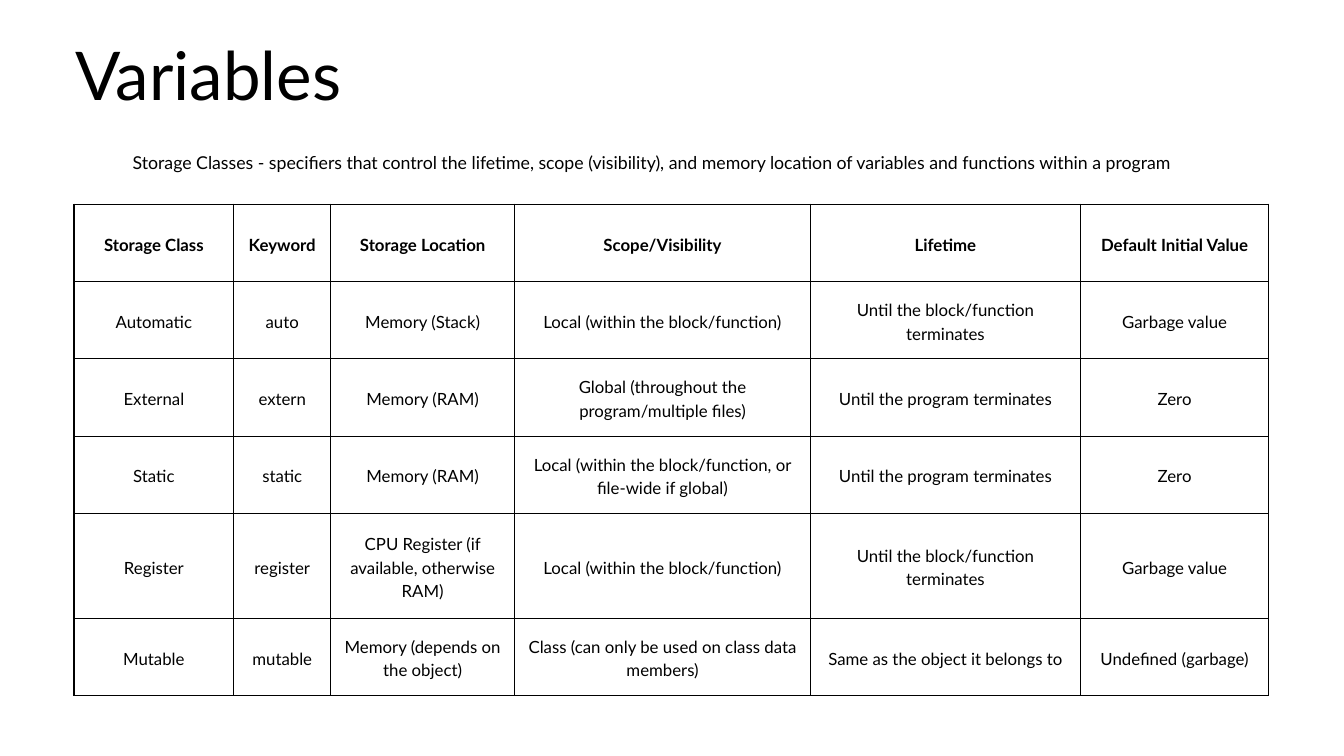
from lxml.etree import SubElement
from pptx import Presentation
from pptx.dml.color import RGBColor
from pptx.enum.text import MSO_ANCHOR, MSO_AUTO_SIZE, PP_ALIGN
from pptx.oxml.ns import qn
from pptx.util import Inches, Pt

COLORS = {"ink": "000000", "paper": "FFFFFF"}
FONT = "Lato"

deck = Presentation()
deck.slide_width = Inches(20)
deck.slide_height = Inches(11.25)
column = deck.slide_width / 200
row = deck.slide_height / 225

page = deck.slides.add_slide(deck.slide_layouts[5])
page.background.fill.solid()
page.background.fill.fore_color.rgb = RGBColor.from_string(COLORS["paper"])


def place(box, left, top, width, height):
    box.left, box.width = int(left * column), int(width * column)
    box.top, box.height = int(top * row), int(height * row)


def write(frame, text, size, line_spacing, alignment, bold=False):
    frame.word_wrap = True
    frame.text = text
    para = frame.paragraphs[0]
    para.alignment = alignment
    para.line_spacing = Pt(line_spacing)
    para.font.name = FONT
    para.font.size = Pt(size)
    para.font.bold = bold
    para.font.color.rgb = RGBColor.from_string(COLORS["ink"])


column_widths = [23.8, 14.4, 27.4, 44, 40.2, 28]
row_heights = [23, 23, 23, 23, 31.2, 23]
storage_classes = [
    ["Storage Class", "Keyword", "Storage Location", "Scope/Visibility",
     "Lifetime", "Default Initial Value"],
    ["Automatic", "auto", "Memory (Stack)", "Local (within the block/function)",
     "Until the block/function terminates", "Garbage value"],
    ["External", "extern", "Memory (RAM)", "Global (throughout the program/multiple files)",
     "Until the program terminates", "Zero"],
    ["Static", "static", "Memory (RAM)",
     "Local (within the block/function, or file-wide if global)",
     "Until the program terminates", "Zero"],
    ["Register", "register", "CPU Register (if available, otherwise RAM)",
     "Local (within the block/function)",
     "Until the block/function terminates", "Garbage value"],
    ["Mutable", "mutable", "Memory (depends on the object)",
     "Class (can only be used on class data members)",
     "Same as the object it belongs to", "Undefined (garbage)"],
]

table_frame = page.shapes.add_table(len(row_heights), len(column_widths), 0, 0, 0, 0)
place(table_frame, 11, 60.8, sum(column_widths), sum(row_heights))
table = table_frame.table
for table_column, width in zip(table.columns, column_widths):
    table_column.width = int(width * column)
for table_row, height in zip(table.rows, row_heights):
    table_row.height = int(height * row)

for row_index, texts in enumerate(storage_classes):
    for column_index, text in enumerate(texts):
        cell = table.cell(row_index, column_index)
        write(cell.text_frame, text, 18, 25.2, PP_ALIGN.CENTER, row_index == 0)
        cell.vertical_anchor = MSO_ANCHOR.MIDDLE
        cell.margin_left = cell.margin_right = int(column)
        cell.margin_top = cell.margin_bottom = int(2 * row)
        properties = cell._tc.get_or_add_tcPr()
        for side in ("a:lnL", "a:lnR", "a:lnT", "a:lnB"):
            border = SubElement(properties, qn(side), w=str(Pt(1.5)))
            border_fill = SubElement(border, qn("a:solidFill"))
            SubElement(border_fill, qn("a:srgbClr"), val=COLORS["ink"])
        cell.fill.background()

title = page.shapes.title
place(title, 11.2, 6, 168.8, 26.6)
write(title.text_frame, "Variables", 72, 100.8, PP_ALIGN.LEFT)

definition = page.shapes.add_textbox(0, 0, 0, 0)
place(definition, 11, 44.2, 172, 6.8)
write(
    definition.text_frame,
    "Storage Classes - specifiers that control the lifetime, scope (visibility), "
    "and memory location of variables and functions within a program",
    19, 26.6, PP_ALIGN.CENTER,
)

for box in (title, definition):
    frame = box.text_frame
    frame.margin_left = frame.margin_right = frame.margin_top = frame.margin_bottom = 0
    frame.vertical_anchor = MSO_ANCHOR.TOP
    frame.auto_size = MSO_AUTO_SIZE.SHAPE_TO_FIT_TEXT

deck.save("out.pptx")
